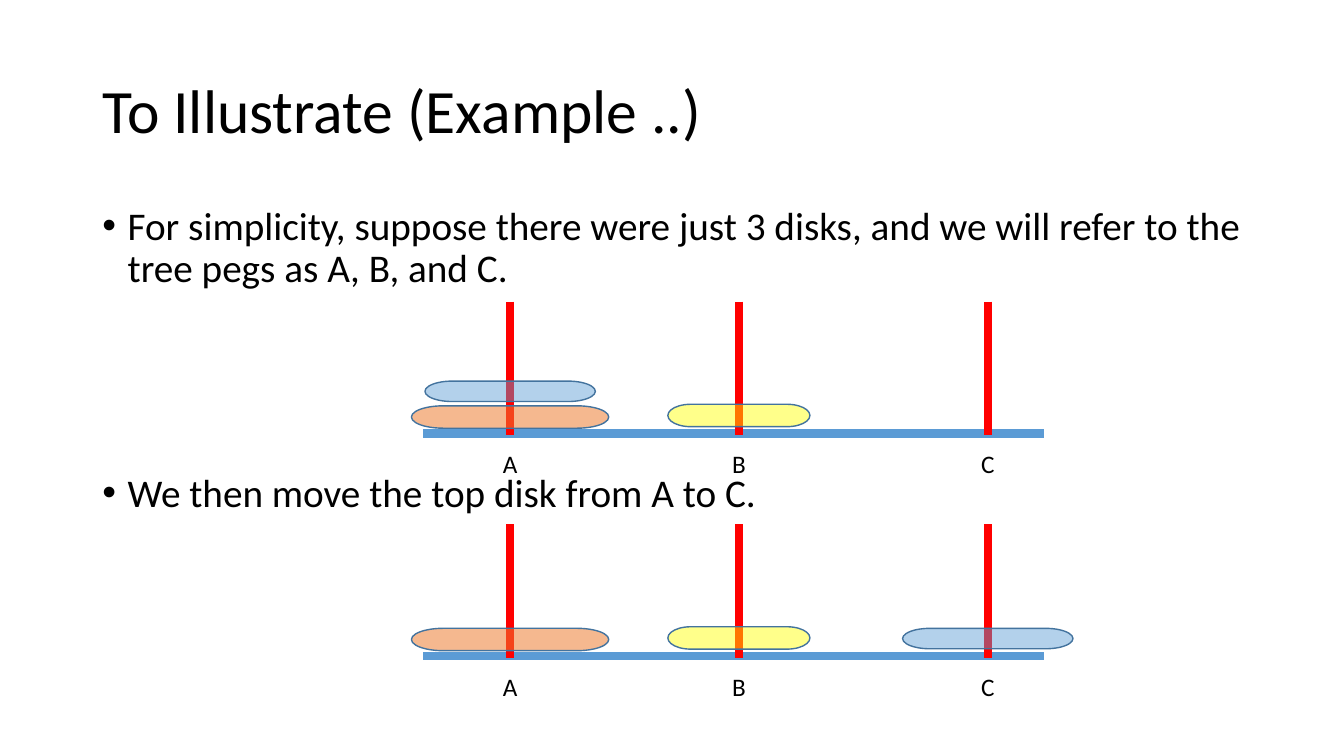
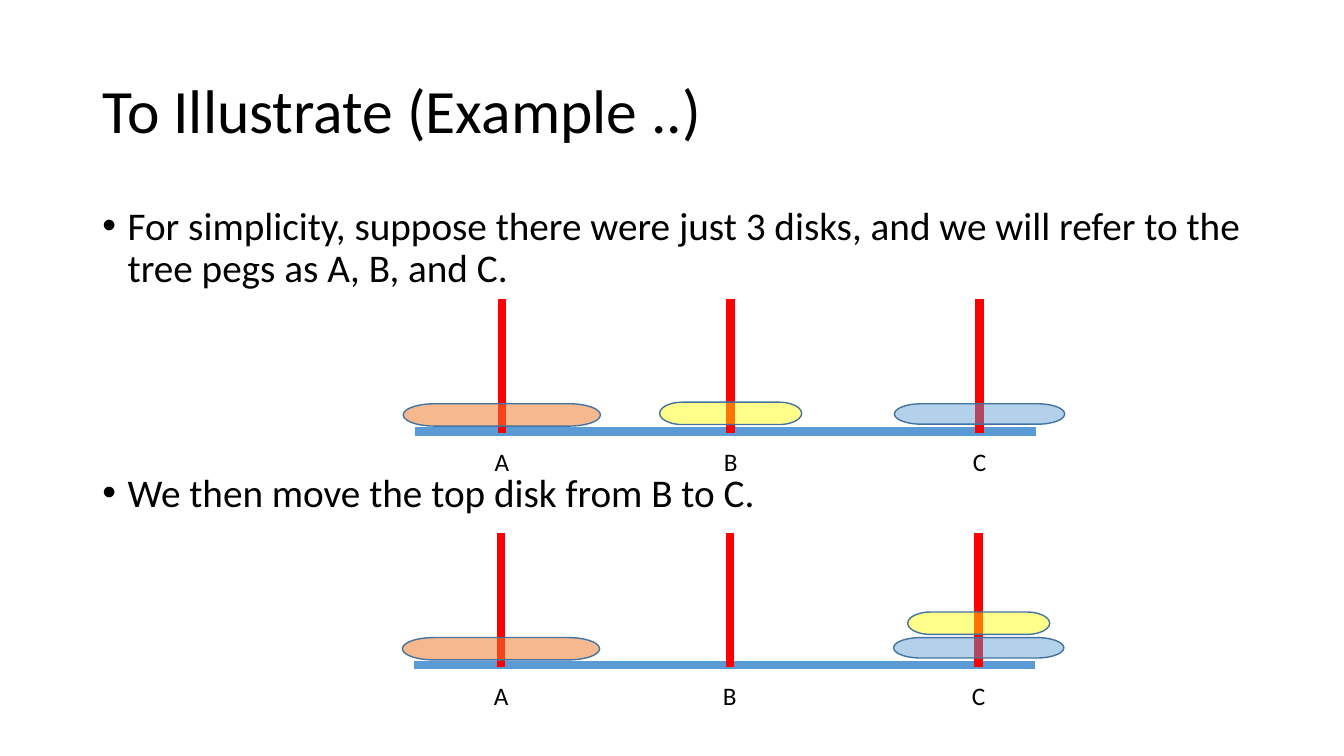
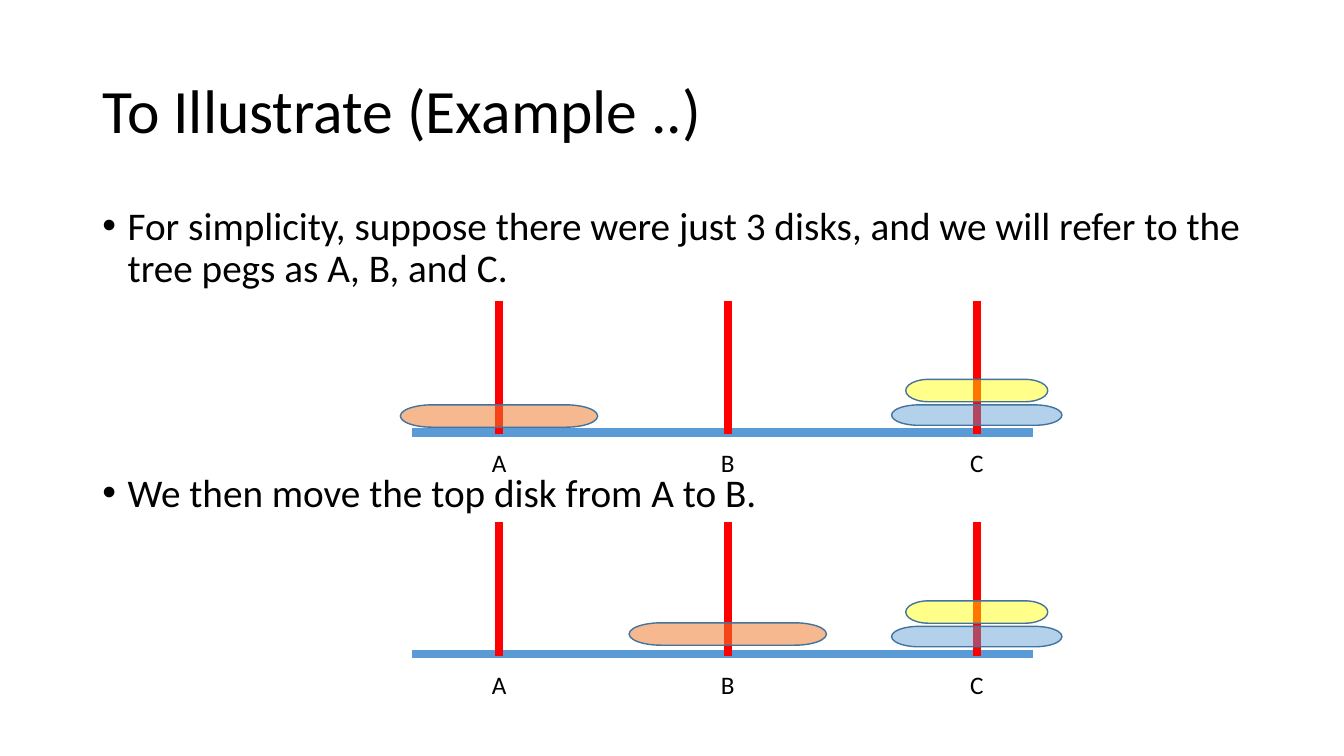
from dataclasses import dataclass

from lxml import etree
from pptx import Presentation
from pptx import util as u
from pptx.dml.color import RGBColor
from pptx.enum import shapes, text
from pptx.oxml.ns import qn

Pt = u.Pt

# Shared look
FONT = "Calibri"
BLACK = RGBColor(0x00, 0x00, 0x00)
BLUE = RGBColor(0x5B, 0x9B, 0xD5)
DARK_BLUE = RGBColor(0x43, 0x73, 0x9E)
RED = RGBColor(0xFF, 0x00, 0x00)
ORANGE = RGBColor(0xED, 0x7D, 0x31)
YELLOW = RGBColor(0xFF, 0xFF, 0x00)

TITLE = "To Illustrate (Example ..)"
INTRO = ("For simplicity, suppose there were just 3 disks, "
         "and we will refer to the tree pegs as A, B, and C.")
TITLE_BOX = (66, 28.8, 828, 104.4)
BODY_BOX = (66, 144, 828, 342.7)
BULLET_INDENT = 18
DIAGRAM_GAP = 130

# Puzzle geometry, measured from the left end of the base line
BASE_WIDTH = 443.5
BAR_WEIGHT = 6
PEG_OFFSETS = {"A": 62, "B": 225.4, "C": 403.2}
PEG_RISE = 94.3
PEG_DROP = 1.2
LABEL_DROP, LABEL_WIDTH, LABEL_HEIGHT = 7.2, 25.2, 28.8

# Height of a disk's top above the base line
FIRST_LEVEL = 19.8
SECOND_LEVEL = 38


@dataclass(frozen=True)
class Disk:
    color: RGBColor
    opacity: int
    width: float
    height: float


@dataclass(frozen=True)
class Placement:
    disk: Disk
    peg: str
    rise: float = FIRST_LEVEL


@dataclass(frozen=True)
class Diagram:
    left: float
    base: float
    placements: tuple[Placement, ...]


@dataclass(frozen=True)
class Step:
    move: str
    before: Diagram
    after: Diagram


LARGE = Disk(ORANGE, 54, 141, 16)
MEDIUM = Disk(BLUE, 46, 121.7, 14.6)
SMALL = Disk(YELLOW, 46, 101.5, 16)

LARGE_ON_A = Placement(LARGE, "A")
LARGE_ON_B = Placement(LARGE, "B", 22.3)
MEDIUM_ON_C = Placement(MEDIUM, "C")
SMALL_ON_B = Placement(SMALL, "B", 20.9)
SMALL_ON_TOP = Placement(SMALL, "C", SECOND_LEVEL)

# States of the puzzle
START = (LARGE_ON_A, Placement(MEDIUM, "A", SECOND_LEVEL - 0.5), SMALL_ON_B)
SPREAD = (LARGE_ON_A, MEDIUM_ON_C, SMALL_ON_B)
STACKED = (LARGE_ON_A, MEDIUM_ON_C, SMALL_ON_TOP)
FINAL = (LARGE_ON_B, MEDIUM_ON_C, SMALL_ON_TOP)

STEPS = (
    Step("We then move the top disk from A to C.",
         Diagram(302.4, 309.7, START), Diagram(302.4, 468.6, SPREAD)),
    Step("We then move the top disk from B to C.",
         Diagram(296.5, 308.2, SPREAD), Diagram(295.9, 475.2, STACKED)),
    Step("We then move the top disk from A to B.",
         Diagram(294.5, 309, STACKED), Diagram(294.5, 467.2, FINAL)),
)


def place(shape, box: tuple) -> None:
    shape.left, shape.top, shape.width, shape.height = map(Pt, box)


def set_font(paragraph, size: float) -> None:
    paragraph.font.name = FONT
    paragraph.font.size = Pt(size)
    paragraph.font.color.rgb = BLACK


def write_title(shape) -> None:
    frame = shape.text_frame
    frame.text = TITLE
    frame.vertical_anchor = text.MSO_ANCHOR.MIDDLE
    frame.auto_size = text.MSO_AUTO_SIZE.NONE
    paragraph = frame.paragraphs[0]
    paragraph.alignment = text.PP_ALIGN.LEFT
    paragraph.line_spacing = 0.9
    set_font(paragraph, 44)


def write_bullets(shape, move: str) -> None:
    frame = shape.text_frame
    frame.text = f"{INTRO}\n{move}"
    frame.auto_size = text.MSO_AUTO_SIZE.NONE
    for paragraph, gap in zip(frame.paragraphs, (10, DIAGRAM_GAP)):
        paragraph.line_spacing = 0.9
        paragraph.space_before = Pt(gap)
        set_font(paragraph, 28)
        properties = paragraph._p.get_or_add_pPr()
        properties.set("marL", str(Pt(BULLET_INDENT)))
        properties.set("indent", str(-Pt(BULLET_INDENT)))


def add_bar(group, start: tuple, end: tuple, color: RGBColor) -> None:
    bar = group.shapes.add_connector(
        shapes.MSO_CONNECTOR.STRAIGHT, *map(Pt, start + end))
    bar.line.color.rgb = color
    bar.line.width = Pt(BAR_WEIGHT)
    etree.SubElement(bar._element.spPr, qn("a:effectLst"))


def add_disk(group, disk: Disk, center: float, top: float) -> None:
    shape = group.shapes.add_shape(
        shapes.MSO_SHAPE.FLOWCHART_TERMINATOR, Pt(center - disk.width / 2),
        Pt(top), Pt(disk.width), Pt(disk.height))
    shape.shadow.inherit = False
    shape.fill.solid()
    shape.fill.fore_color.rgb = disk.color
    color = shape._element.spPr.find(qn("a:solidFill"))[0]
    etree.SubElement(color, qn("a:alpha"), val=str(disk.opacity * 1000))
    shape.line.color.rgb = DARK_BLUE
    shape.line.width = Pt(1)


def add_label(group, name: str, center: float, top: float) -> None:
    label = group.shapes.add_textbox(
        Pt(center - LABEL_WIDTH / 2), Pt(top), Pt(LABEL_WIDTH), Pt(LABEL_HEIGHT))
    frame = label.text_frame
    frame.word_wrap = False
    frame.text = name
    paragraph = frame.paragraphs[0]
    paragraph.alignment = text.PP_ALIGN.CENTER
    set_font(paragraph, 18)


def add_diagram(slide, diagram: Diagram) -> None:
    group = slide.shapes.add_group_shape()
    left, base = diagram.left, diagram.base
    centers = {peg: left + offset for peg, offset in PEG_OFFSETS.items()}
    # Base line and pegs
    add_bar(group, (left, base), (left + BASE_WIDTH, base), BLUE)
    for center in centers.values():
        add_bar(group, (center, base - PEG_RISE), (center, base + PEG_DROP), RED)
    # Disks and peg names
    for placement in diagram.placements:
        add_disk(group, placement.disk, centers[placement.peg],
                 base - placement.rise)
    for name, center in centers.items():
        add_label(group, name, center, base + LABEL_DROP)


def main() -> None:
    presentation = Presentation()
    presentation.slide_width, presentation.slide_height = Pt(960), Pt(540)
    layout = presentation.slide_layouts[1]
    # Slides inherit the positions of the layout's title and body
    place(layout.placeholders[0], TITLE_BOX)
    place(layout.placeholders[1], BODY_BOX)
    for step in STEPS:
        slide = presentation.slides.add_slide(layout)
        write_title(slide.shapes.title)
        write_bullets(slide.placeholders[1], step.move)
        add_diagram(slide, step.before)
        add_diagram(slide, step.after)
    presentation.save("out.pptx")


if __name__ == "__main__":
    main()
